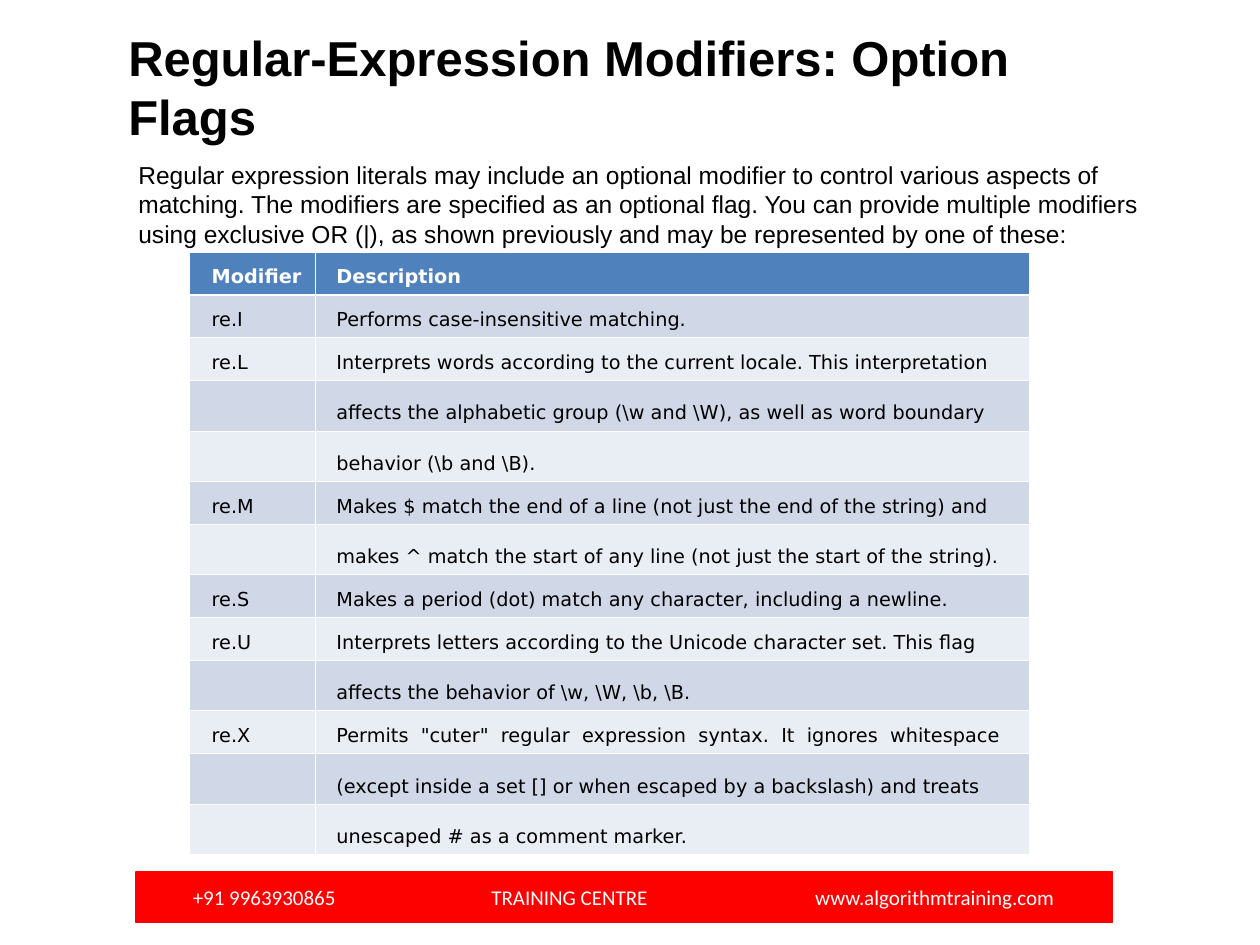
from dataclasses import dataclass

from lxml.etree import SubElement
from pptx import Presentation
from pptx.dml.color import RGBColor
from pptx.enum.shapes import MSO_SHAPE as Shape
from pptx.enum.text import MSO_ANCHOR as Anchor, MSO_AUTO_SIZE as AutoSize
from pptx.enum.text import PP_ALIGN as Align
from pptx.oxml.ns import qn
from pptx.util import Inches, Pt

WIDTH, HEIGHT = 10, 7.5
BLACK, WHITE, RED, BLUE = "000000", "FFFFFF", "FD0000", "4F81BD"
BANDS = ("D0D8E8", "E9EDF4")
COLUMNS = (1, 5.67)
INDENTS = (0.08, 0.07)
FIRST_ROW, NEXT_ROW = 0.34, 0.4
THIN, THICK = 0.45, 1.47
FOOTER_TABS = (2.37, 4.94)


@dataclass(frozen=True)
class Box:
    left: float
    top: float
    width: float
    height: float

    def emu(self) -> tuple:
        return tuple(Inches(v) for v in (self.left, self.top, self.width, self.height))


@dataclass(frozen=True)
class Modifier:
    name: str
    lines: tuple[str, ...]


MODIFIERS = (
    Modifier("re.I", ("Performs case-insensitive matching.",)),
    Modifier("re.L", (
        "Interprets words according to the current locale. This interpretation",
        r"affects the alphabetic group (\w and \W), as well as word boundary",
        r"behavior (\b and \B).",
    )),
    Modifier("re.M", (
        "Makes $ match the end of a line (not just the end of the string) and",
        "makes ^ match the start of any line (not just the start of the string).",
    )),
    Modifier("re.S", ("Makes a period (dot) match any character, including a newline.",)),
    Modifier("re.U", (
        "Interprets letters according to the Unicode character set. This flag",
        r"affects the behavior of \w, \W, \b, \B.",
    )),
    Modifier("re.X", (
        'Permits  "cuter"  regular  expression  syntax.  It  ignores  whitespace',
        "(except inside a set [] or when escaped by a backslash) and treats",
        "unescaped # as a comment marker.",
    )),
)


def rgb(color: str) -> RGBColor:
    return RGBColor.from_string(color)


def style(p, font: str, size: float, color: str, bold: bool = False) -> None:
    for r in p.runs:
        r.font.name = font
        r.font.size = Pt(size)
        r.font.bold = bold
        r.font.color.rgb = rgb(color)


def add_text(s, box: Box, text: str, size: float, bold: bool = False) -> None:
    tf = s.shapes.add_textbox(*box.emu()).text_frame
    tf.word_wrap = True
    tf.auto_size = AutoSize.SHAPE_TO_FIT_TEXT
    tf.text = text
    style(tf.paragraphs[0], "Arial", size, BLACK, bold)


def add_footer(s, box: Box, parts: tuple[str, ...]) -> None:
    sp = s.shapes.add_shape(Shape.RECTANGLE, *box.emu())
    sp.shadow.inherit = False
    sp.fill.solid()
    sp.fill.fore_color.rgb = rgb(RED)
    sp.line.color.rgb = rgb(RED)
    sp.line.width = Pt(0.75)
    tf = sp.text_frame
    tf.margin_left = Inches(0.45)
    tf.vertical_anchor = Anchor.MIDDLE
    tf.text = "\t".join(parts)
    p = tf.paragraphs[0]
    p.alignment = Align.LEFT
    tabs = SubElement(p._p.get_or_add_pPr(), qn("a:tabLst"))
    for stop in FOOTER_TABS:
        SubElement(tabs, qn("a:tab"), pos=str(Inches(stop)), algn="l")
    style(p, "Calibri", 12, WHITE)


def add_borders(cell, row: int) -> None:
    widths = {
        "L": THIN,
        "R": THIN,
        "T": THICK if row == 1 else THIN,
        "B": THICK if row == 0 else THIN,
    }
    tc_pr = cell._tc.get_or_add_tcPr()
    for side, width in widths.items():
        ln = SubElement(tc_pr, qn(f"a:ln{side}"), w=str(Pt(width)))
        fill = SubElement(ln, qn("a:solidFill"))
        SubElement(fill, qn("a:srgbClr"), val=WHITE)


def fill_cell(cell, row: int, col: int, text: str) -> None:
    header = row == 0
    add_borders(cell, row)
    cell.fill.solid()
    cell.fill.fore_color.rgb = rgb(BLUE if header else BANDS[(row - 1) % 2])
    cell.vertical_anchor = Anchor.BOTTOM
    if not text:
        return
    cell.text_frame.text = text
    p = cell.text_frame.paragraphs[0]
    p._p.get_or_add_pPr().set("marL", str(Inches(INDENTS[col])))
    if not header:
        p.line_spacing = Pt(13.2)
    style(p, "DejaVu Sans", 11, WHITE if header else BLACK, header)


def add_modifier_table(s, left: float, top: float) -> None:
    rows = [("Modifier", "Description")]
    for m in MODIFIERS:
        rows += [(m.name if i == 0 else "", line) for i, line in enumerate(m.lines)]
    heights = [FIRST_ROW if name else NEXT_ROW for name, _ in rows]
    box = Box(left, top, sum(COLUMNS), sum(heights))
    table = s.shapes.add_table(len(rows), len(COLUMNS), *box.emu()).table
    table.horz_banding = False
    for col, width in enumerate(COLUMNS):
        table.columns[col].width = Inches(width)
    for row, values in enumerate(rows):
        table.rows[row].height = Inches(heights[row])
        for col, text in enumerate(values):
            fill_cell(table.cell(row, col), row, col, text)


def main() -> None:
    prs = Presentation()
    prs.slide_width, prs.slide_height = Inches(WIDTH), Inches(HEIGHT)
    s = prs.slides.add_slide(prs.slide_layouts[6])
    add_text(
        s, Box(0.1 * WIDTH, 1.22, 8.17, 0.8),
        "Regular expression literals may include an optional modifier to control "
        "various aspects of matching. The modifiers are specified as an optional "
        "flag. You can provide multiple modifiers using exclusive OR (|), as shown "
        "previously and may be represented by one of these:",
        14,
    )
    add_text(
        s, Box(0.92, 0.17, 0.75 * WIDTH, 1.04),
        "Regular-Expression Modifiers: Option Flags", 28, bold=True,
    )
    add_footer(
        s, Box(1.08, 6.92, 7.75, 0.4),
        ("+91 9963930865", "TRAINING CENTRE", "www.algorithmtraining.com"),
    )
    add_modifier_table(s, 0.15 * WIDTH, 2)
    prs.save("out.pptx")


if __name__ == "__main__":
    main()
